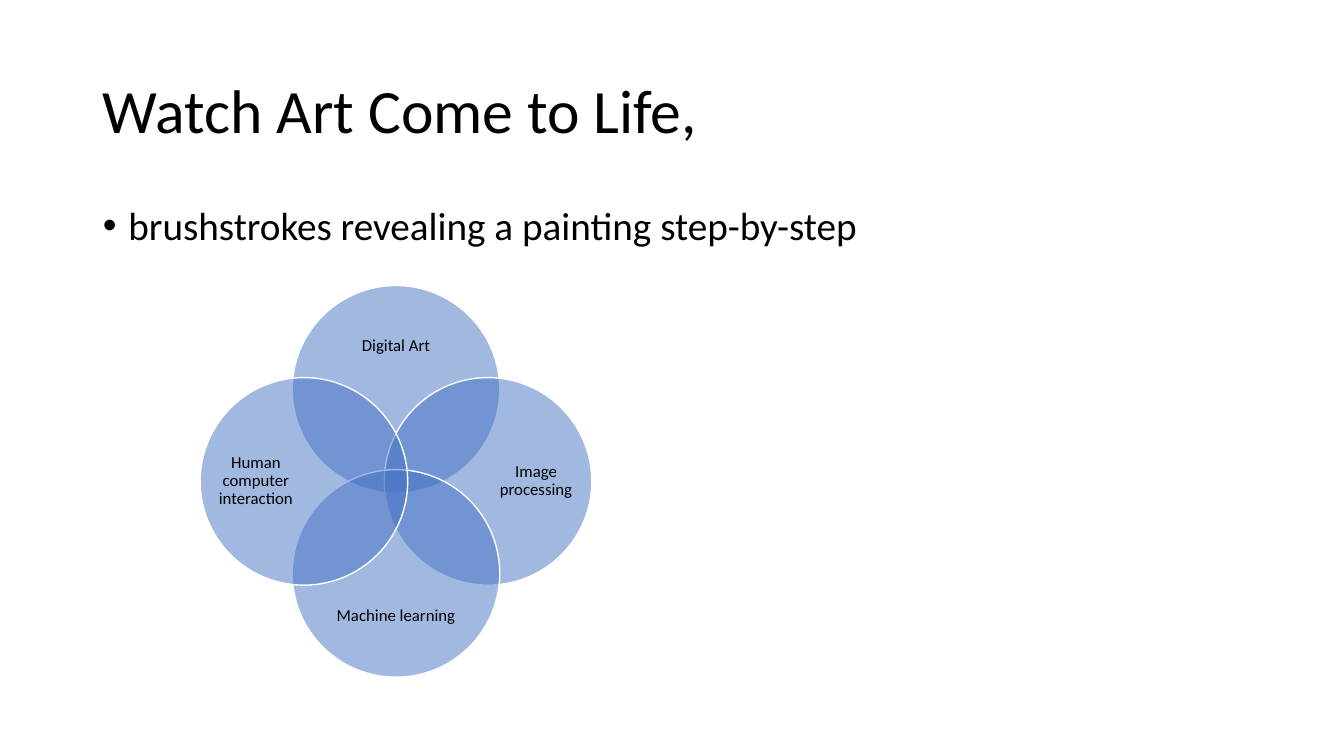
from dataclasses import dataclass

from lxml.etree import SubElement
from pptx import Presentation
from pptx.dml.color import RGBColor
from pptx.enum.shapes import MSO_SHAPE
from pptx.enum.text import MSO_ANCHOR, MSO_AUTO_SIZE, PP_ALIGN
from pptx.oxml.ns import qn
from pptx.shapes.group import GroupShape
from pptx.text.text import TextFrame
from pptx.util import Cm, Pt

COLOURS = {"text": "000000", "circle": "4472C4", "outline": "FFFFFF"}
FONT_NAME = "Calibri"

CENTRE_X, CENTRE_Y = 9.98, 12.13
DIAMETER = 5.23
CIRCLE_OFFSET = 2.32

TITLE_FORMAT = {"alignment": PP_ALIGN.LEFT, "line_spacing": 0.9}
BODY_FORMAT = {"alignment": PP_ALIGN.LEFT, "line_spacing": 0.9, "space_before": Pt(0)}
LABEL_FORMAT = {"alignment": PP_ALIGN.CENTER, "line_spacing": 0.9, "space_after": Pt(4.2)}


@dataclass(frozen=True)
class VennSet:
    """One circle, placed by its direction from the centre of the diagram."""
    label: str
    direction_x: int
    direction_y: int
    label_offset: float
    label_width: float
    label_height: float


VENN_SETS = [
    VennSet("Digital Art", 0, -1, 3.4, 4.01, 1.65),
    VennSet("Image processing", 1, 0, 3.53, 2.01, 4.01),
    VennSet("Machine learning", 0, 1, 3.4, 4.01, 1.65),
    VennSet("Human computer interaction", -1, 0, 3.53, 2.01, 4.01),
]


def colour(name: str) -> RGBColor:
    return RGBColor.from_string(COLOURS[name])


def set_attributes(target: object, values: dict) -> None:
    for name, value in values.items():
        setattr(target, name, value)


def write_text(text_frame: TextFrame, text: str, size: int,
               anchor: MSO_ANCHOR, paragraph_format: dict) -> None:
    set_attributes(text_frame, {"text": text, "word_wrap": True,
                                "auto_size": MSO_AUTO_SIZE.NONE,
                                "vertical_anchor": anchor})
    paragraph = text_frame.paragraphs[0]
    set_attributes(paragraph, paragraph_format)
    set_attributes(paragraph.font, {"name": FONT_NAME, "size": Pt(size)})
    paragraph.font.color.rgb = colour("text")


def centred_box(centre_x: float, centre_y: float, width: float, height: float) -> list[Cm]:
    return [Cm(value) for value in
            (centre_x - width / 2, centre_y - height / 2, width, height)]


def add_circle(group: GroupShape, venn_set: VennSet) -> None:
    circle = group.shapes.add_shape(MSO_SHAPE.OVAL, *centred_box(
        CENTRE_X + venn_set.direction_x * CIRCLE_OFFSET,
        CENTRE_Y + venn_set.direction_y * CIRCLE_OFFSET, DIAMETER, DIAMETER))
    circle.shadow.inherit = False
    circle.fill.solid()
    circle.fill.fore_color.rgb = colour("circle")
    fill_colour = circle.element.spPr.find(qn("a:solidFill")).find(qn("a:srgbClr"))
    SubElement(fill_colour, qn("a:alpha"), val="50000")
    circle.line.color.rgb = colour("outline")
    circle.line.width = Pt(1)


def add_label(group: GroupShape, venn_set: VennSet) -> None:
    label = group.shapes.add_textbox(*centred_box(
        CENTRE_X + venn_set.direction_x * venn_set.label_offset,
        CENTRE_Y + venn_set.direction_y * venn_set.label_offset,
        venn_set.label_width, venn_set.label_height))
    margins = ("margin_left", "margin_top", "margin_right", "margin_bottom")
    set_attributes(label.text_frame, dict.fromkeys(margins, 0))
    write_text(label.text_frame, venn_set.label, 12, MSO_ANCHOR.MIDDLE, LABEL_FORMAT)


def main() -> None:
    presentation = Presentation()
    presentation.slide_width, presentation.slide_height = Cm(33.87), Cm(19.05)
    slide = presentation.slides.add_slide(presentation.slide_layouts[1])

    title = slide.shapes.title
    set_attributes(title, {"left": Cm(2.34), "top": Cm(1.02),
                           "width": Cm(29.21), "height": Cm(3.68)})
    write_text(title.text_frame, "Watch Art Come to Life,", 44,
               MSO_ANCHOR.MIDDLE, TITLE_FORMAT)

    body = slide.placeholders[1]
    set_attributes(body, {"left": Cm(2.34), "top": Cm(5.08),
                          "width": Cm(29.21), "height": Cm(12.09)})
    body.text_frame.text = "brushstrokes revealing a painting step-by-step"
    write_text(body.text_frame, body.text_frame.text, 28, MSO_ANCHOR.TOP, BODY_FORMAT)
    properties = body.text_frame.paragraphs[0]._p.get_or_add_pPr()
    properties.set("marL", str(Cm(0.64)))
    properties.set("indent", str(-Cm(0.64)))
    SubElement(properties, qn("a:buFont"), typeface="Arial")
    bullet = SubElement(properties, qn("a:buChar"), char="•")
    run_defaults = properties.find(qn("a:defRPr"))
    bullet.addnext(run_defaults)

    venn_diagram = slide.shapes.add_group_shape()
    for venn_set in VENN_SETS:
        add_circle(venn_diagram, venn_set)
        add_label(venn_diagram, venn_set)

    presentation.save("out.pptx")


if __name__ == "__main__":
    main()
